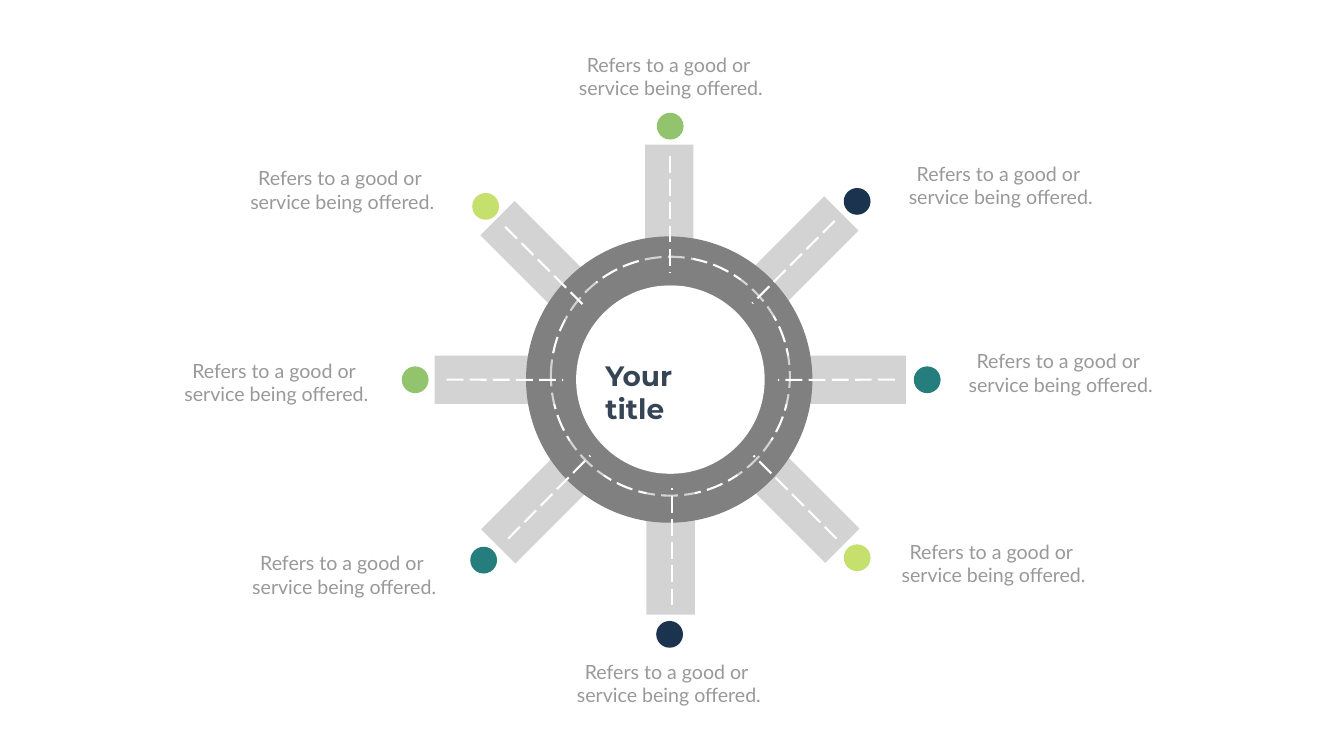
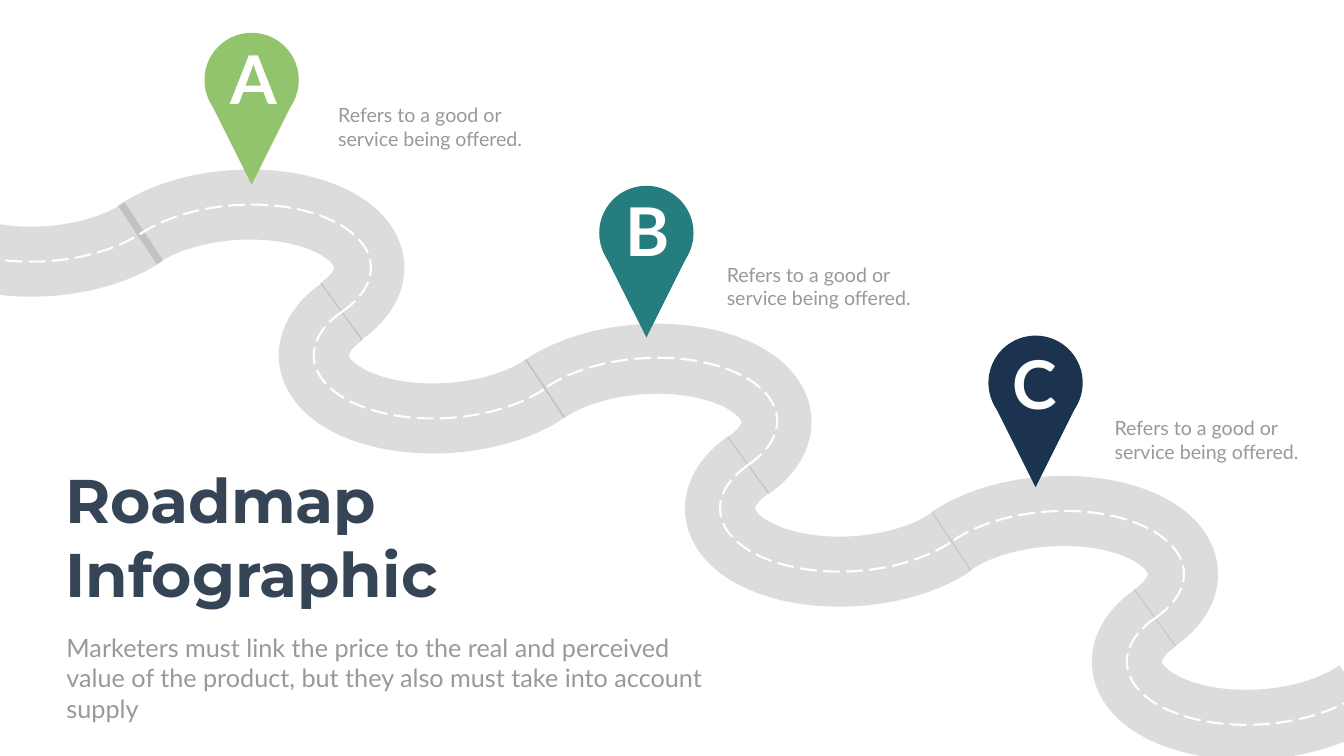
from lxml.etree import SubElement
from pptx import Presentation
from pptx.dml.color import RGBColor
from pptx.enum.dml import MSO_LINE
from pptx.enum.shapes import MSO_CONNECTOR as Connector, MSO_SHAPE as Shape
from pptx.enum.text import MSO_ANCHOR as Anchor, MSO_AUTO_SIZE as AutoSize, PP_ALIGN as Align
from pptx.oxml.ns import qn
from pptx.util import Cm, Pt

GREEN, TEAL, NAVY, LIME = "92C46D", "267D7D", "1B334E", "C6E06E"
WHITE, GREY, ROAD = "FFFFFF", "808080", "797979"
SPOKE_CAPTION = ["Refers to a good or ", "service being offered."]
PIN_CAPTION = ["Refers to a good or", "service being offered."]
CAPTION_SIZE = (10.67, 2.64)

CAPTION_STYLE = {"name": "Lato", "size": Pt(28), "color": "999999"}
BODY_STYLE = {**CAPTION_STYLE, "size": Pt(36)}
LETTER_STYLE = {"name": "Lato", "size": Pt(96), "bold": True, "color": WHITE}
TITLE_STYLE = {"name": "Montserrat", "bold": True, "color": "364556"}

DISCS = [
    {"center": (33.72, 19.13), "diameter": 14.43, "fill": GREY},
    {"center": (33.78, 18.96), "diameter": 12.04, "fill": None},
    {"center": (33.78, 19.13), "diameter": 9.5, "fill": WHITE},
]
SPOKE_SIZE = (7.11, 2.44)
DOT_DIAMETER = 1.35
SPOKES = [
    {"center": (33.72, 10.84), "lane": (33.74, 7.87, 33.74, 13.74),
     "dot": (33.77, 6.36), "color": GREEN, "caption": (28.47, 2.54)},
    {"center": (39.88, 13.27), "lane": (42.06, 11.13, 37.9, 15.29),
     "dot": (43.19, 10.15), "color": NAVY, "caption": (45.09, 8.03)},
    {"center": (42.09, 19.14), "lane": (45.09, 19.13, 39.19, 19.15),
     "dot": (46.72, 19.14), "color": TEAL, "caption": (48.11, 17.48)},
    {"center": (39.93, 24.99), "lane": (42.16, 27.15, 37.97, 22.96),
     "dot": (43.19, 28.11), "color": LIME, "caption": (44.73, 27.08)},
    {"center": (33.79, 27.42), "lane": (33.84, 30.51, 33.84, 24.59),
     "dot": (33.74, 31.97), "color": NAVY, "caption": (28.37, 33.12)},
    {"center": (27.62, 25.02), "lane": (25.6, 27.15, 29.74, 22.96),
     "dot": (24.37, 28.23), "color": TEAL, "caption": (12.01, 27.64)},
    {"center": (25.45, 19.14), "lane": (22.5, 19.13, 28.37, 19.15),
     "dot": (20.92, 19.14), "color": GREEN, "caption": (8.59, 17.96)},
    {"center": (27.58, 13.51), "lane": (25.45, 11.43, 29.44, 15.42),
     "dot": (24.47, 10.4), "color": LIME, "caption": (11.91, 8.26)},
]

BEND = [(0, 0), (2.27, -1.57), (1.8, -3.73), (-1.02, -4.8),
        (-3.84, -5.87), (-7.98, -5.44), (-10.25, -3.86)]
CREST, TROUGH = 1, -1
ENTRY = (-3, 7.8)
ROAD_BENDS = [(17.17, 15.7, CREST), (17.25, 15.7, TROUGH), (37.69, 23.47, CREST),
              (58.17, 31.14, CREST), (37.72, 23.42, TROUGH), (58.22, 31.14, TROUGH)]
LANE_BENDS = [(x, y, side) for x, y in [(17.25, 15.7), (37.72, 23.42), (58.22, 31.14)]
              for side in (CREST, TROUGH)]

PIN_DIAMETER, PIN_POINT, PIN_DROP = 4.75, 4.42, 0.85
PINS = [
    {"letter": "A", "color": GREEN, "center": (12.68, 4.03),
     "letter_box": (11.36, 1.75, 2.9, 4.37), "caption": (16.79, 5.08)},
    {"letter": "B", "color": TEAL, "center": (32.57, 11.74),
     "letter_box": (31.27, 9.4, 2.77, 4.37), "caption": (36.37, 13.11)},
    {"letter": "C", "color": NAVY, "center": (52.18, 19.29),
     "letter_box": (50.78, 17.15, 2.77, 4.37), "caption": (55.91, 20.84)},
]
BODY = ("Marketers must link the price to the real and perceived value of the product, "
        "but they also must take into account supply")


def rgb(color):
    return RGBColor.from_string(color)


def set_opacity(shape, percent):
    for color in shape.element.spPr.iter(qn("a:srgbClr")):
        SubElement(color, qn("a:alpha")).set("val", str(percent * 1000))


def set_line(shape, color, width, dash=None):
    shape.line.color.rgb = rgb(color)
    shape.line.width = Pt(width)
    if dash:
        shape.line.dash_style = dash


def dash_white(shape):
    set_line(shape, WHITE, 3, MSO_LINE.LONG_DASH)


def add_solid(slide, kind, left, top, width, height, fill):
    shape = slide.shapes.add_shape(kind, Cm(left), Cm(top), Cm(width), Cm(height))
    shape.shadow.inherit = False
    shape.line.fill.background()
    if fill:
        shape.fill.solid()
        shape.fill.fore_color.rgb = rgb(fill)
    else:
        shape.fill.background()
    return shape


def add_disc(slide, center, diameter, fill):
    left, top = (value - diameter / 2 for value in center)
    return add_solid(slide, Shape.OVAL, left, top, diameter, diameter, fill)


def write_text(shape, lines, style, align=Align.LEFT):
    frame = shape.text_frame
    frame.word_wrap = True
    frame.auto_size = AutoSize.SHAPE_TO_FIT_TEXT
    frame.vertical_anchor = Anchor.TOP
    frame.text = "\n".join(lines)
    for paragraph in frame.paragraphs:
        paragraph.alignment = align
        for run in paragraph.runs:
            for name, value in style.items():
                if name == "color":
                    run.font.color.rgb = rgb(value)
                else:
                    setattr(run.font, name, value)


def add_text(slide, box, lines, style, align=Align.LEFT):
    write_text(slide.shapes.add_textbox(*map(Cm, box)), lines, style, align)


def place_title(slide, box, lines, size):
    title = slide.shapes.title
    title.left, title.top, title.width, title.height = map(Cm, box)
    write_text(title, lines, {**TITLE_STYLE, "size": Pt(size)})
    title.element.getparent().append(title.element)


def add_lane(slide, ends):
    lane = slide.shapes.add_connector(Connector.STRAIGHT, *map(Cm, ends))
    dash_white(lane)
    SubElement(lane.element.spPr, qn("a:effectLst"))


def round_corners(shape):
    outline = next(shape.element.spPr.iter(qn("a:path")))
    lines = outline.findall(qn("a:lnTo"))
    for first in range(0, len(lines), 3):
        curve = SubElement(outline, qn("a:cubicBezTo"))
        for line in lines[first:first + 3]:
            curve.append(line[0])
            outline.remove(line)


def add_bend(group, x, y, side, controls=BEND):
    start, *rest = [(Cm(x + side * dx), Cm(y + side * dy)) for dx, dy in controls]
    builder = group.shapes.build_freeform(*start)
    builder.add_line_segments(rest, close=False)
    bend = builder.convert_to_shape()
    round_corners(bend)
    bend.fill.background()
    bend.shadow.inherit = False
    return bend


def add_road(slide, bends):
    group = slide.shapes.add_group_shape()
    pieces = [add_bend(group, *bend) for bend in bends]
    pieces.append(add_bend(group, *ENTRY, TROUGH, BEND[3:]))
    return pieces


def build_roundabout(slide):
    ring, dashes, hub = [add_disc(slide, **disc) for disc in DISCS]
    dash_white(dashes)
    width, height = SPOKE_SIZE
    for index, spoke in enumerate(SPOKES):
        x, y = spoke["center"]
        road = add_solid(slide, Shape.RECTANGLE, x - width / 2, y - height / 2,
                         width, height, GREY)
        road.rotation = (45 * index + 90) % 180
        set_opacity(road, 34)
    for spoke in SPOKES:
        add_lane(slide, spoke["lane"])
    for spoke in SPOKES:
        add_disc(slide, spoke["dot"], DOT_DIAMETER, spoke["color"])
    for spoke in SPOKES:
        add_text(slide, spoke["caption"] + CAPTION_SIZE, SPOKE_CAPTION, CAPTION_STYLE,
                 Align.CENTER)
    place_title(slide, (30.25, 17.93, 7, 1.96), ["Your title"], 40)


def build_roadmap(slide):
    for piece in add_road(slide, ROAD_BENDS):
        set_line(piece, ROAD, 100)
        set_opacity(piece, 25)
    for piece in add_road(slide, LANE_BENDS):
        dash_white(piece)
    for pin in PINS:
        x, y = pin["center"]
        add_solid(slide, Shape.FLOWCHART_MERGE, x - PIN_POINT / 2, y + PIN_DROP,
                  PIN_POINT, PIN_POINT, pin["color"])
        add_disc(slide, pin["center"], PIN_DIAMETER, pin["color"])
    for pin in PINS:
        add_text(slide, pin["letter_box"], [pin["letter"]], LETTER_STYLE)
    for pin in PINS:
        add_text(slide, pin["caption"] + CAPTION_SIZE, PIN_CAPTION, CAPTION_STYLE)
    add_text(slide, (3.1, 31.75, 33.73, 3.33), [BODY], BODY_STYLE)
    place_title(slide, (3.05, 23.16, 19.25, 7.77), ["Roadmap", "Infographic"], 88)


def main():
    presentation = Presentation()
    presentation.slide_width, presentation.slide_height = Cm(67.72), Cm(38.1)
    title_only = presentation.slide_layouts[5]
    for build in (build_roundabout, build_roadmap):
        build(presentation.slides.add_slide(title_only))
    presentation.save("out.pptx")


if __name__ == "__main__":
    main()
